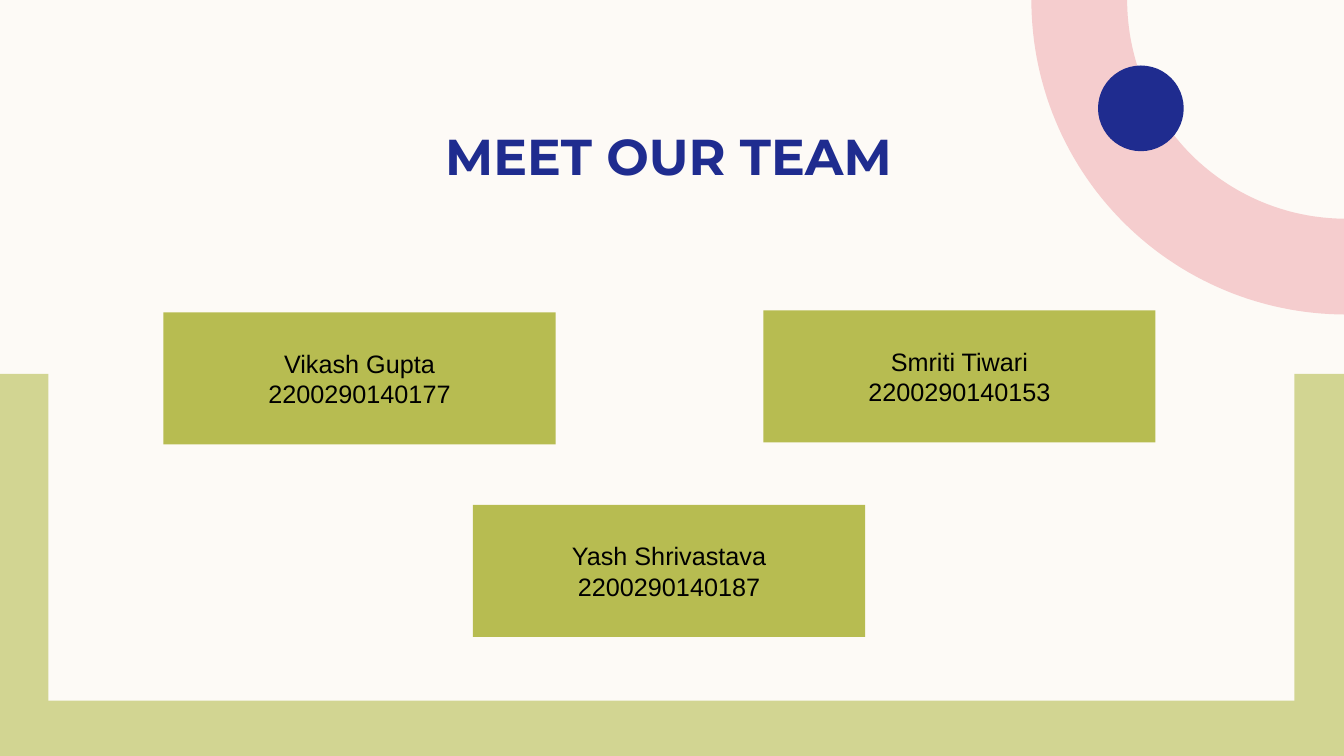
from math import cos, sin, pi

from pptx import Presentation
from pptx.dml.color import RGBColor
from pptx.enum.shapes import MSO_SHAPE
from pptx.enum.text import MSO_ANCHOR, PP_ALIGN
from pptx.util import Inches, Pt

# Content
TITLE = "MEET OUR TEAM"
TEAM = [  # name, number, left, top
    ("Vikash Gupta", "2200290140177", 1.62, 3.1),
    ("Yash Shrivastava", "2200290140187", 4.69, 5.01),
    ("Smriti Tiwari", "2200290140153", 7.57, 3.08),
]

THEME = {
    "cream": "FDFAF6", "pale": "D2D592", "olive": "B7BC51",
    "pink": "F5CDCE", "navy": "1F2C8F", "black": "000000",
    "title_font": "Montserrat", "body_font": "Arial",
    "title_size": 36, "body_size": 18,
}
WIDTH, HEIGHT = 13.33, 7.5
CARD_W, CARD_H = 3.89, 1.31
RING_X, RING_Y, RING_OUTER, RING_INNER = 13.35, 0, 3.12, 2.17
ARC_STEPS = 60


def color(name):
    return RGBColor.from_string(THEME[name])


def paint(sp, fill):
    sp.shadow.inherit = False
    sp.fill.solid()
    sp.fill.fore_color.rgb = color(fill)
    sp.line.fill.background()
    return sp


def add_shape(s, kind, box, fill):
    return paint(s.shapes.add_shape(kind, *map(Inches, box)), fill)


def arc(radius):
    """Quarter circle from the top edge to the right edge of the slide."""
    angles = [pi / 2 * i / ARC_STEPS for i in range(ARC_STEPS + 1)]
    return [(Inches(min(WIDTH, RING_X - radius * cos(a))),
             Inches(RING_Y + radius * sin(a))) for a in angles]


def write(sp, lines, font, size, ink, bold=False):
    tf = sp.text_frame
    tf.word_wrap = True
    tf.vertical_anchor = MSO_ANCHOR.MIDDLE
    tf.margin_top = tf.margin_bottom = 0
    tf.text = "\n".join(lines)
    for p in tf.paragraphs:
        p.alignment = PP_ALIGN.CENTER
        p.font.name = THEME[font]
        p.font.size = Pt(THEME[size])
        p.font.bold = bold
        p.font.color.rgb = color(ink)


prs = Presentation()
prs.slide_width, prs.slide_height = Inches(WIDTH), Inches(HEIGHT)
s = prs.slides.add_slide(prs.slide_layouts[6])
s.background.fill.solid()
s.background.fill.fore_color.rgb = color("cream")

# Green frame around the lower half
add_shape(s, MSO_SHAPE.RECTANGLE, (0, 3.71, WIDTH, 3.79), "pale")
add_shape(s, MSO_SHAPE.RECTANGLE, (0.48, 0.36, 12.36, 6.59), "cream")

# Corner ring and dot
outline = arc(RING_OUTER) + arc(RING_INNER)[::-1]
builder = s.shapes.build_freeform(*outline[0])
builder.add_line_segments(outline[1:], close=True)
paint(builder.convert_to_shape(), "pink")
add_shape(s, MSO_SHAPE.OVAL, (10.89, 0.65, 0.85, 0.85), "navy")

# Title
title = s.shapes.add_textbox(*map(Inches, (0.77, 0.38, 11.72, 2.33)))
write(title, [TITLE], "title_font", "title_size", "navy", bold=True)

# Team cards
for name, number, left, top in TEAM:
    card = add_shape(s, MSO_SHAPE.RECTANGLE, (left, top, CARD_W, CARD_H), "olive")
    write(card, [name, number], "body_font", "body_size", "black")

prs.save("out.pptx")
